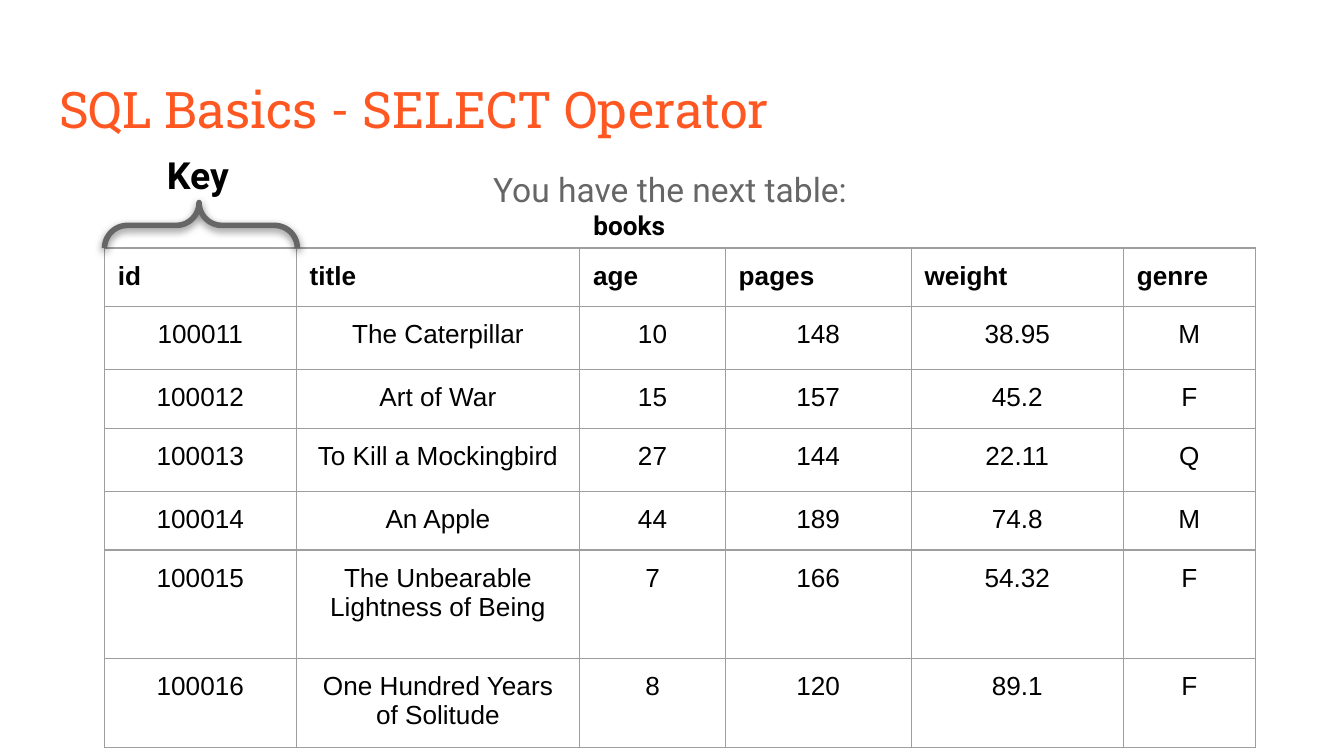
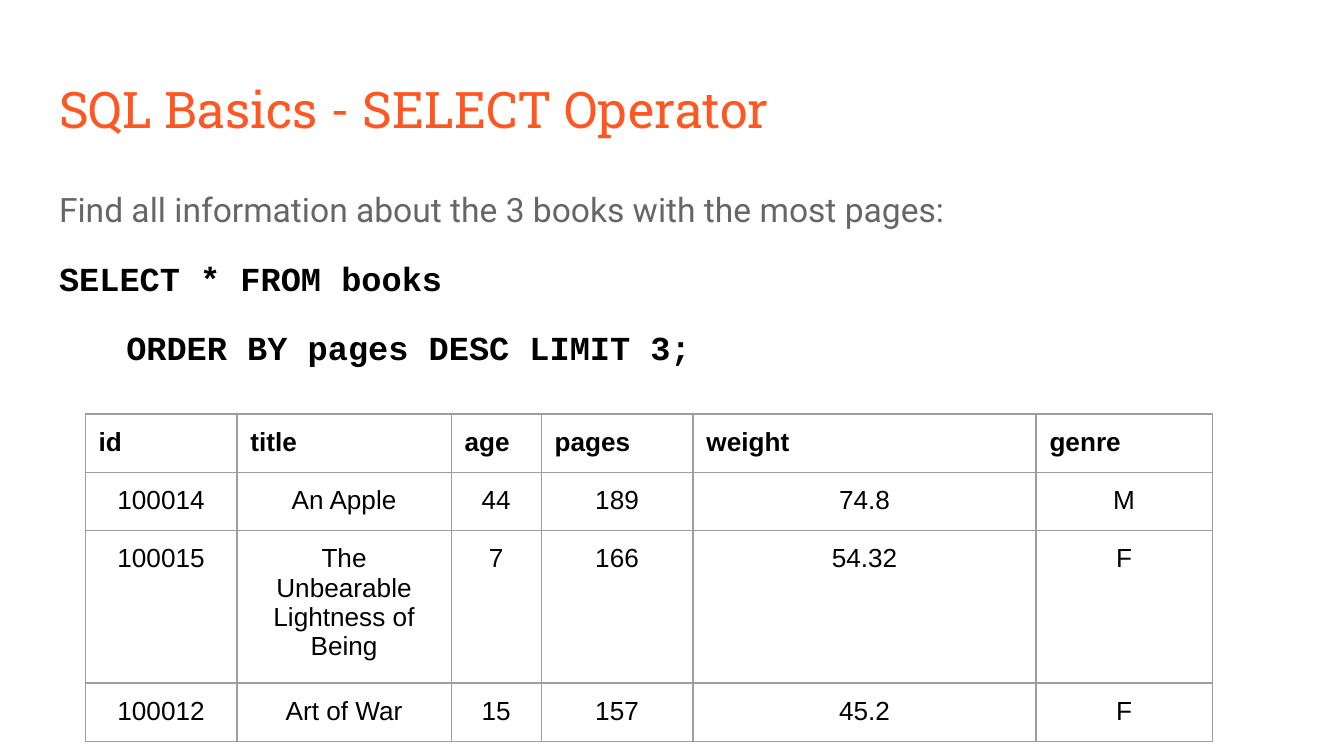
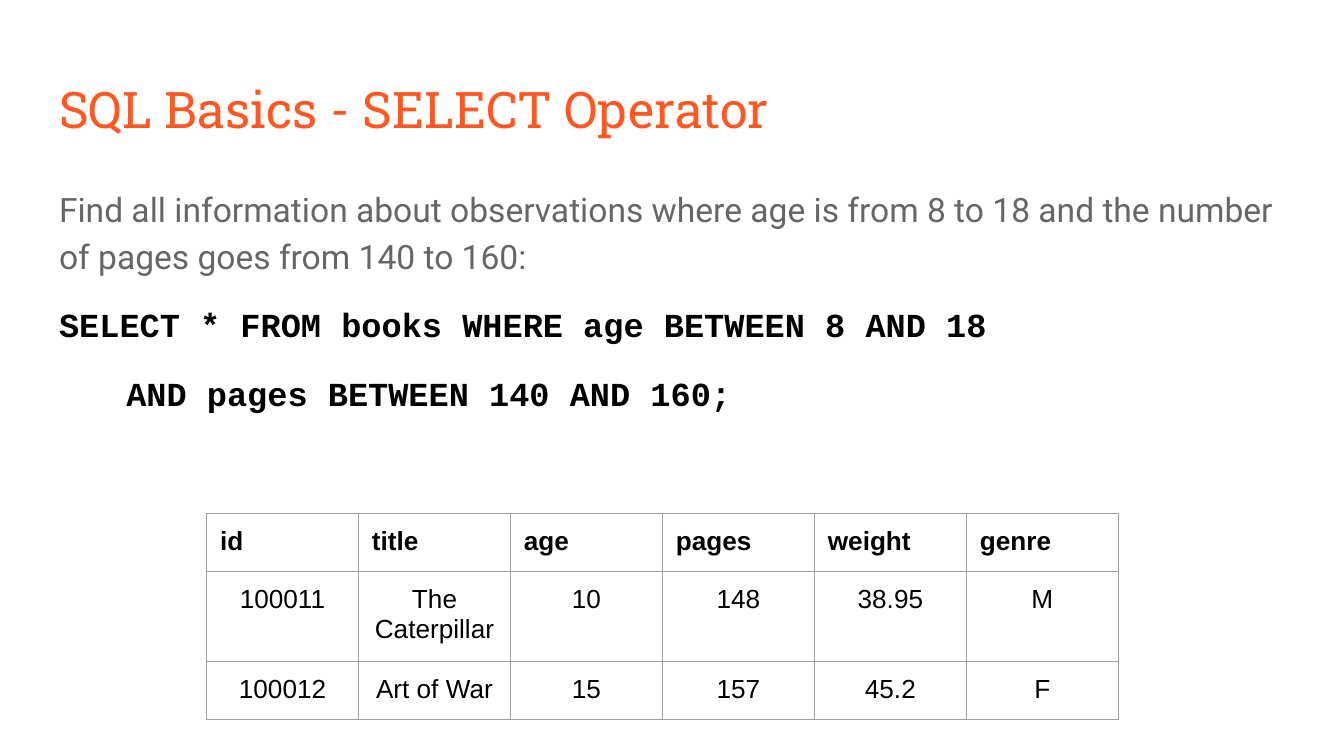
from lxml.etree import SubElement
from pptx import Presentation
from pptx.dml.color import RGBColor as RGB
from pptx.enum.shapes import MSO_SHAPE as SHAPE
from pptx.enum.text import MSO_ANCHOR as ANCHOR, PP_ALIGN as ALIGN
from pptx.oxml import parse_xml
from pptx.oxml.ns import nsdecls, qn
from pptx.util import Inches, Pt

W = Inches(10)
H = W * 9 // 16
CELL = W // 100
COLORS = {"title": "FF5722", "body": "666666", "ink": "000000", "grid": "9E9E9E"}
STYLES = {
    "title": ("Roboto Slab", 27, "title", False),
    "body": ("Roboto", 18, "body", False),
    "code": ("Courier New", 18, "ink", True),
    "key": ("Roboto", 20, "ink", True),
    "name": ("Roboto", 14, "ink", True),
    "head": ("Arial", 14, "ink", True),
    "value": ("Arial", 14, "ink", False),
}
TITLE = "SQL Basics - SELECT Operator"
TITLE_BOX = (3.41, 4.95, 93.2, 6.3)
BODY_BOX = (3.41, 12.63, 93.2, 37.4)
HEADERS = ("id", "title", "age", "pages", "weight", "genre")
BOOKS = [
    (100011, "The Caterpillar", 10, 148, 38.95, "M"),
    (100012, "Art of War", 15, 157, 45.2, "F"),
    (100013, "To Kill a Mockingbird", 27, 144, 22.11, "Q"),
    (100014, "An Apple", 44, 189, 74.8, "M"),
    (100015, "The Unbearable Lightness of Being", 7, 166, 54.32, "F"),
    (100016, "One Hundred Years of Solitude", 8, 120, 89.1, "F"),
]


def cells(*counts):
    return [int(n * CELL) for n in counts]


def color(name):
    return RGB.from_string(COLORS[name])


def set_font(target, style):
    name, size, ink, bold = STYLES[style]
    font = target.font
    font.name, font.size, font.bold = name, Pt(size), bold
    font.color.rgb = color(ink)


def set_margins(target):
    target.margin_left = target.margin_right = CELL
    target.margin_top = target.margin_bottom = CELL


def add_text(s, box, lines, anchor=ANCHOR.TOP):
    tf = s.shapes.add_textbox(*cells(*box)).text_frame
    tf.word_wrap = True
    tf.vertical_anchor = anchor
    set_margins(tf)
    for i, (text, style) in enumerate(lines):
        p = tf.paragraphs[0] if i == 0 else tf.add_paragraph()
        p.text = text
        set_font(p, style)
    return tf


def add_body(s, box, lines):
    tf = add_text(s, box, lines)
    for i, p in enumerate(tf.paragraphs):
        p.line_spacing = 1.15
        if i > 0:
            p.space_before = Pt(12)
    tf.paragraphs[-1].space_after = Pt(12)
    return tf


def add_query(s, task, first, second):
    tf = add_body(s, BODY_BOX, [(task, "body"), (first, "code"), (second, "code")])
    pPr = tf.paragraphs[-1]._p.get_or_add_pPr()
    pPr.set("marL", str(5 * CELL))
    pPr.set("indent", "0")


def set_borders(cell):
    tcPr = cell._tc.get_or_add_tcPr()
    for i, side in enumerate("LRTB"):
        tcPr.insert(i, parse_xml(
            f'<a:ln{side} {nsdecls("a")} w="{Pt(0.75)}"><a:solidFill>'
            f'<a:srgbClr val="{COLORS["grid"]}"/></a:solidFill></a:ln{side}>'))


def add_books(s, left, top, books, widths, heights):
    data = [HEADERS, *books]
    box = cells(left, top, sum(widths), sum(heights))
    table = s.shapes.add_table(len(data), len(HEADERS), *box).table
    table.first_row = table.horz_banding = False
    for column, width in zip(table.columns, cells(*widths)):
        column.width = width
    for row, height, values in zip(table.rows, cells(*heights), data):
        row.height = height
        for cell, value in zip(row.cells, values):
            set_margins(cell)
            cell.fill.background()
            set_borders(cell)
            p = cell.text_frame.paragraphs[0]
            r = p.add_run()
            r.text = str(value)
            if values is HEADERS:
                set_font(r, "head")
            else:
                set_font(r, "value")
                p.alignment = ALIGN.CENTER


def add_brace(s, box):
    sp = s.shapes.add_shape(SHAPE.LEFT_BRACE, *cells(*box))
    sp.rotation = 90
    sp.adjustments[0], sp.adjustments[1] = 0.5, 0.51
    sp.fill.background()
    sp.line.color.rgb = color("body")
    sp.line.width = Pt(3)
    sp.shadow.inherit = False
    effects = sp._element.spPr.find(qn("a:effectLst"))
    shadow = SubElement(effects, qn("a:outerShdw"), blurRad=str(Pt(4.5)),
                        dist=str(Pt(1.5)), dir="5400000", algn="bl", rotWithShape="0")
    ink = SubElement(shadow, qn("a:srgbClr"), val=COLORS["ink"])
    SubElement(ink, qn("a:alpha"), val="50000")


def add_slide(prs):
    s = prs.slides.add_slide(prs.slide_layouts[6])
    add_text(s, TITLE_BOX, [(TITLE, "title")], ANCHOR.MIDDLE)
    return s


def main():
    prs = Presentation()
    prs.slide_width, prs.slide_height = W, H

    s = add_slide(prs)
    add_body(s, (35.7, 11.1, 32.8, 5.4), [("You have the next table:", "body")])
    add_books(s, 7.77, 18.45, BOOKS, (14.27, 21.1, 10.83, 13.83, 15.8, 9.8),
              (4.27, 4.73, 4.27, 4.73, 4.27, 8.05, 6.6))
    add_text(s, (43.17, 14.6, 21.6, 4.4), [("books", "name")])
    add_brace(s, (13.25, 9.6, 3.4, 14.35))
    add_text(s, (11.43, 10.3, 11.3, 5.4), [("Key", "key")])

    s = add_slide(prs)
    add_query(s, "Find all information about the 3 books with the most pages:",
              "SELECT * FROM books", "ORDER BY pages DESC LIMIT 3;")
    longest = sorted(BOOKS, key=lambda book: book[3], reverse=True)[:3]
    add_books(s, 6.34, 30.8, longest, (11.3, 15.93, 6.7, 11.3, 25.53, 13.1), [3.8] * 4)

    s = add_slide(prs)
    add_query(s, "Find all information about observations where age is from 8 to 18 "
              "and the number of pages goes from 140 to 160:",
              "SELECT * FROM books WHERE age BETWEEN 8 AND 18",
              "AND pages BETWEEN 140 AND 160;")
    matches = [b for b in BOOKS if 8 <= b[2] <= 18 and 140 <= b[3] <= 160]
    add_books(s, 15.37, 38.2, matches, [11.31] * 6, [3.8] * 3)

    prs.save("out.pptx")


if __name__ == "__main__":
    main()
